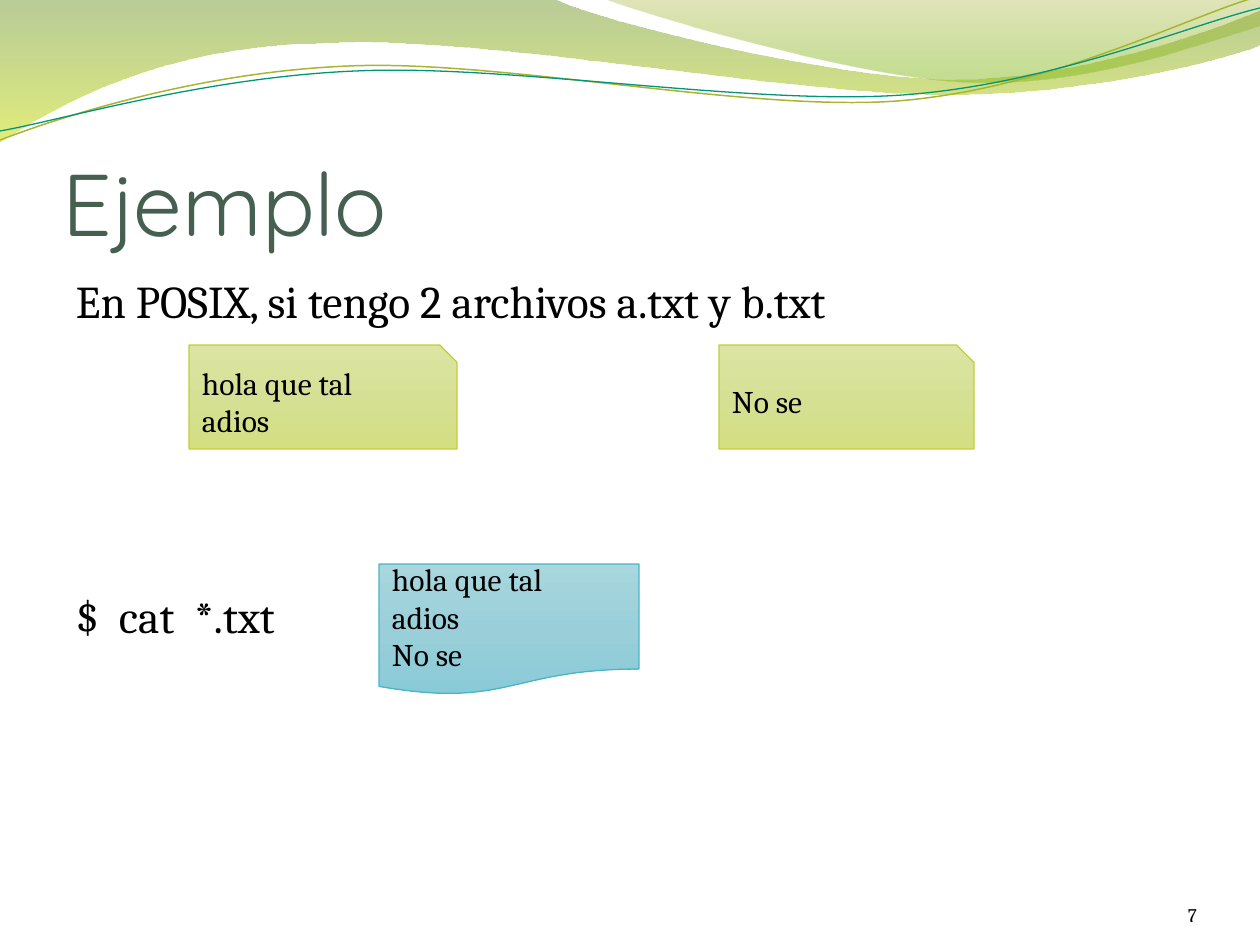
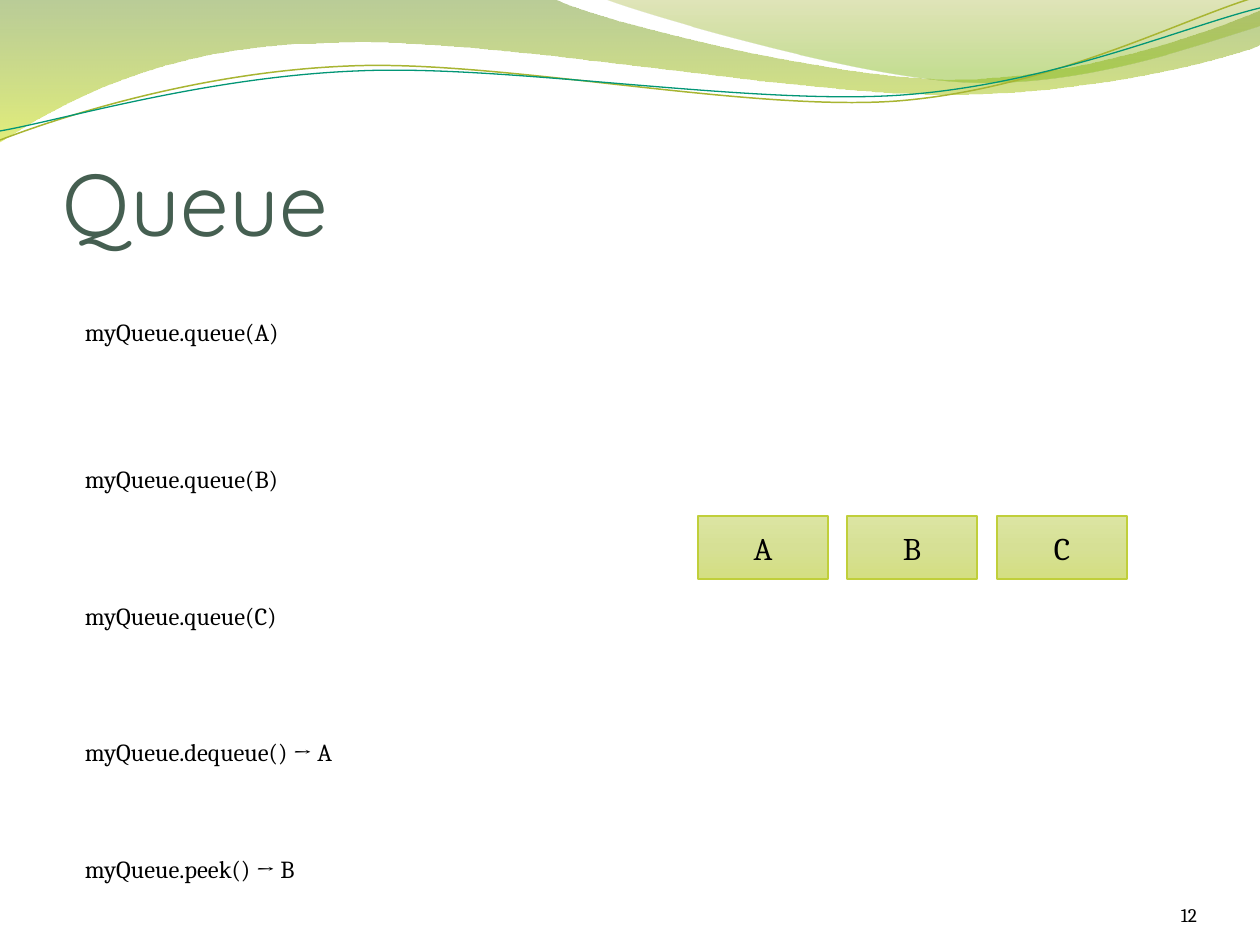
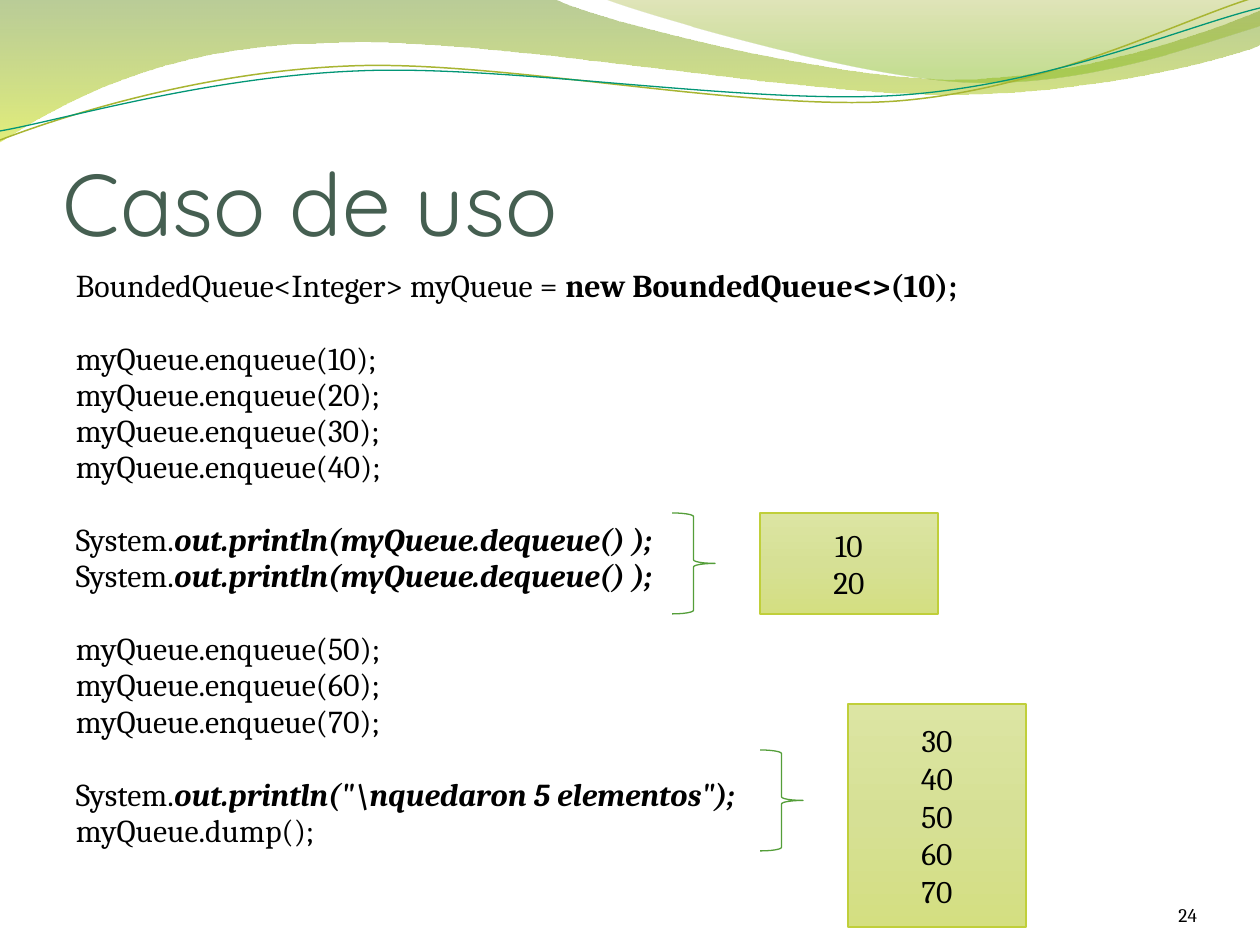
import pptx
import pptx.util
import pptx.dml.color
import pptx.enum.shapes
import pptx.enum.text
import pptx.oxml
import pptx.oxml.ns

RGB = pptx.dml.color.RGBColor
SHAPE = pptx.enum.shapes.MSO_SHAPE
ANCHOR = pptx.enum.text.MSO_ANCHOR
ALIGN = pptx.enum.text.PP_ALIGN
Pt = pptx.util.Pt
qn = pptx.oxml.ns.qn
NS = pptx.oxml.ns.nsdecls("a")

PX = 914400 / 126
WIDTH, HEIGHT = 1260, 945

BLACK = RGB(0x00, 0x00, 0x00)
TITLE = RGB(0x45, 0x5F, 0x51)
OLIVE = RGB(0xA8, 0xB5, 0x32)
TEAL = RGB(0x02, 0x96, 0x76)
BRACE = RGB(0x54, 0x9E, 0x39)
LIME_LINE = RGB(0xC0, 0xCF, 0x3A)
AQUA_LINE = RGB(0x4A, 0xB5, 0xC4)
LIME = [(0, RGB(0xDC, 0xE5, 0xA3), 100), (50, RGB(0xD6, 0xE0, 0x95), 100),
        (100, RGB(0xD4, 0xDF, 0x81), 100)]
AQUA = [(0, RGB(0xA8, 0xD7, 0xDE), 100), (50, RGB(0x9A, 0xCF, 0xD9), 100),
        (100, RGB(0x88, 0xCB, 0xD7), 100)]
WAVE = [(0, RGB(0x66, 0x8F, 0x1B), 45), (100, RGB(0xCA, 0xE0, 0x0E), 55)]
GLOW = [(0, RGB(0x99, 0xA7, 0x19), 30), (80, RGB(0x80, 0xB8, 0x14), 45),
        (100, RGB(0x80, 0xB8, 0x14), 45)]

SERIF = {"name": "Cambria", "size": Pt(18)}
PLAIN = {}
BOLD = {"bold": True}
STRONG = {"bold": True, "italic": True}

WAVE_PATH = [
    (0, 0), (554, -1),
    (598, 21, 835, 79, 955, 79), (1075, 79, 1207, 33, 1260, 11),
    (1261, 45),
    (1239, 55, 1095, 96, 940, 94), (784, 94, 480, 35, 324, 43),
    (162, 45, 58, 105, -1, 142),
]
GLOW_PATH = [
    (604, -1),
    (641, 14, 859, 78, 968, 82), (1089, 87, 1211, 40, 1260, 26),
    (1260, 0),
]
OLIVE_PATH = [
    (0, 140),
    (60, 117, 198, 72, 348, 66), (497, 59, 746, 112, 897, 101),
    (1049, 89, 1182, 19, 1256, -3),
]
TEAL_PATH = [
    (0, 131),
    (59, 121, 205, 77, 357, 71), (507, 64, 752, 106, 903, 95),
    (1053, 84, 1186, 26, 1260, 8),
]


def emu(*lengths):
    """Turn px lengths into EMU."""
    return [round(n * PX) for n in lengths]


def assign(obj, values):
    """Set the attributes of an object from a dict."""
    for key, value in values.items():
        setattr(obj, key, value)


def gradient(sp, stops):
    """Fill a shape from top to bottom with (position, colour, opacity) stops."""
    sp.fill.gradient()
    sp.fill.gradient_angle = 270
    gs_list = sp._element.spPr.find(".//" + qn("a:gsLst"))
    for gs in list(gs_list):
        gs_list.remove(gs)
    for pos, color, alpha in stops:
        gs_list.append(pptx.oxml.parse_xml(
            f'<a:gs {NS} pos="{pos * 1000}">'
            f'<a:srgbClr val="{color}"><a:alpha val="{alpha * 1000}"/></a:srgbClr></a:gs>'))


def outline(sp, color, width=0.75):
    """Give a shape a plain line and no shadow."""
    sp.shadow.inherit = False
    sp.line.color.rgb = color
    sp.line.width = Pt(width)


def curve(s, path, close):
    """Draw a freeform whose six-number segments are cubic curves."""
    start, *rest = [emu(*seg[i:i + 2]) for seg in path for i in range(0, len(seg), 2)]
    builder = s.shapes.build_freeform(*start)
    builder.add_line_segments(rest, close=close)
    sp = builder.convert_to_shape()
    sp.shadow.inherit = False
    edges = iter(sp._element.spPr.findall(".//" + qn("a:lnTo")))
    for seg in path[1:]:
        edge = next(edges)
        if len(seg) == 6:
            bezier = pptx.oxml.parse_xml(f"<a:cubicBezTo {NS}/>")
            edge.addprevious(bezier)
            for part in (edge, next(edges), next(edges)):
                bezier.append(part[0])
                part.getparent().remove(part)
    return sp


def header(s):
    """Draw the waves across the top of a slide."""
    for path, stops in ((WAVE_PATH, WAVE), (GLOW_PATH, GLOW)):
        sp = curve(s, path, True)
        gradient(sp, stops)
        sp.line.fill.background()
    for path, color, width in ((OLIVE_PATH, OLIVE, 0.85), (TEAL_PATH, TEAL, 0.75)):
        sp = curve(s, path, False)
        sp.fill.background()
        outline(sp, color, width)


def write(sp, paragraphs, font=SERIF, color=BLACK, anchor=ANCHOR.TOP,
          margins=(13, 6, 13, 6), **layout):
    """Write paragraphs, each a list of (text, format) runs with a space before."""
    tf = sp.text_frame
    sides = ("margin_left", "margin_top", "margin_right", "margin_bottom")
    assign(tf, {"word_wrap": True, "vertical_anchor": anchor, **dict(zip(sides, emu(*margins)))})
    for i, (runs, before) in enumerate(paragraphs):
        p = tf.add_paragraph() if i else tf.paragraphs[0]
        assign(p, {"space_before": Pt(before), **layout})
        for text, extra in runs:
            r = p.add_run()
            r.text = text
            assign(r.font, {**font, **extra})
            r.font.color.rgb = color


def lines(*texts):
    """Make one plain paragraph of each text."""
    return [([(text, PLAIN)], 0) for text in texts]


def text_box(s, box, paragraphs, **style):
    """Add a text box."""
    write(s.shapes.add_textbox(*emu(*box)), paragraphs, **style)


def card(s, box, texts, kind=SHAPE.RECTANGLE, stops=LIME, line=LIME_LINE, align=ALIGN.CENTER):
    """Add a shaded shape with lines of text."""
    sp = s.shapes.add_shape(kind, *emu(*box))
    gradient(sp, stops)
    outline(sp, line)
    write(sp, lines(*texts), anchor=ANCHOR.MIDDLE, alignment=align)


def body(s, paragraphs, **style):
    """Add the main text."""
    text_box(s, (63, 267, 1134, 605), paragraphs, **style)


def base_slide(prs, title, number):
    """Add a slide with its waves, title and number."""
    s = prs.slides.add_slide(prs.slide_layouts[6])
    header(s)
    text_box(s, (63, 97, 1134, 157), lines(title), color=TITLE, anchor=ANCHOR.BOTTOM,
             font={"name": "Quicksand", "size": Pt(50)}, margins=(0, 6, 0, 0))
    text_box(s, (1092, 876, 105, 50), lines(str(number)), anchor=ANCHOR.BOTTOM,
             font={**SERIF, "size": Pt(11)}, margins=(0, 0, 0, 0), alignment=ALIGN.RIGHT)
    return s


def files_slide(prs):
    """Show two files and what joining them prints."""
    s = base_slide(prs, "Ejemplo", 7)
    body(s, [([("En POSIX, si tengo 2 archivos a.txt y b.txt", PLAIN)], 0),
             ([("$  cat  *.txt", PLAIN)], 149)], font={**SERIF, "size": Pt(26)})
    for x, w, texts in ((189, 268, ("hola que tal", "adios")), (719, 255, ("No se",))):
        card(s, (x, 345, w, 104), texts, SHAPE.SNIP_1_RECTANGLE, align=ALIGN.LEFT)
    card(s, (379, 564, 260, 131), ("hola que tal", "adios", "No se"),
         SHAPE.FLOWCHART_DOCUMENT, AQUA, AQUA_LINE, ALIGN.LEFT)


def queue_slide(prs):
    """Show the queue calls beside the queued items."""
    s = base_slide(prs, "Queue", 12)
    for i, item in enumerate("ABC"):
        card(s, (698 + i * 299 // 2, 516, 130, 63), (item,))
    calls = {304: "myQueue.queue(A)", 451: "myQueue.queue(B)", 588: "myQueue.queue(C)",
             724: "myQueue.dequeue() → A", 841: "myQueue.peek() → B"}
    for y, call in calls.items():
        text_box(s, (72, y, 392, 55), lines(call), font={**SERIF, "size": Pt(14)},
                 margins=(13, 13, 13, 13))


def result(s, x, y, values, lift, height):
    """Add a brace and, to its right, the printed values."""
    sp = s.shapes.add_shape(SHAPE.RIGHT_BRACE, *emu(x, y, 43, 101))
    sp.fill.background()
    outline(sp, BRACE)
    card(s, (x + 88, y - lift, 178, height), [str(v) for v in values])


def code_slide(prs):
    """Show the program and its output."""
    s = base_slide(prs, "Caso de uso", 24)
    dequeue = [("System.", PLAIN), ("out.println(myQueue.dequeue() );", STRONG)]
    blocks = [
        [[("BoundedQueue<Integer> myQueue = ", PLAIN), ("new BoundedQueue<>(10);", BOLD)]],
        [[(f"myQueue.enqueue({n});", PLAIN)] for n in (10, 20, 30, 40)],
        [dequeue, dequeue],
        [[(f"myQueue.enqueue({n});", PLAIN)] for n in (50, 60, 70)],
        [[("System.", PLAIN), ('out.println("\\nquedaron 5 elementos");', STRONG)],
         [("myQueue.dump();", PLAIN)]],
    ]
    paragraphs = [(runs, 24.2 if b and not i else 3.2)
                  for b, block in enumerate(blocks) for i, runs in enumerate(block)]
    body(s, paragraphs, font={**SERIF, "size": Pt(18.2)}, line_spacing=0.8)
    result(s, 672, 513, (10, 20), 0, 101)
    result(s, 760, 750, range(30, 80, 10), 46, 223)


def main():
    """Build and save the slides."""
    prs = pptx.Presentation()
    prs.slide_width, prs.slide_height = emu(WIDTH, HEIGHT)
    files_slide(prs)
    queue_slide(prs)
    code_slide(prs)
    prs.save("out.pptx")


if __name__ == "__main__":
    main()
